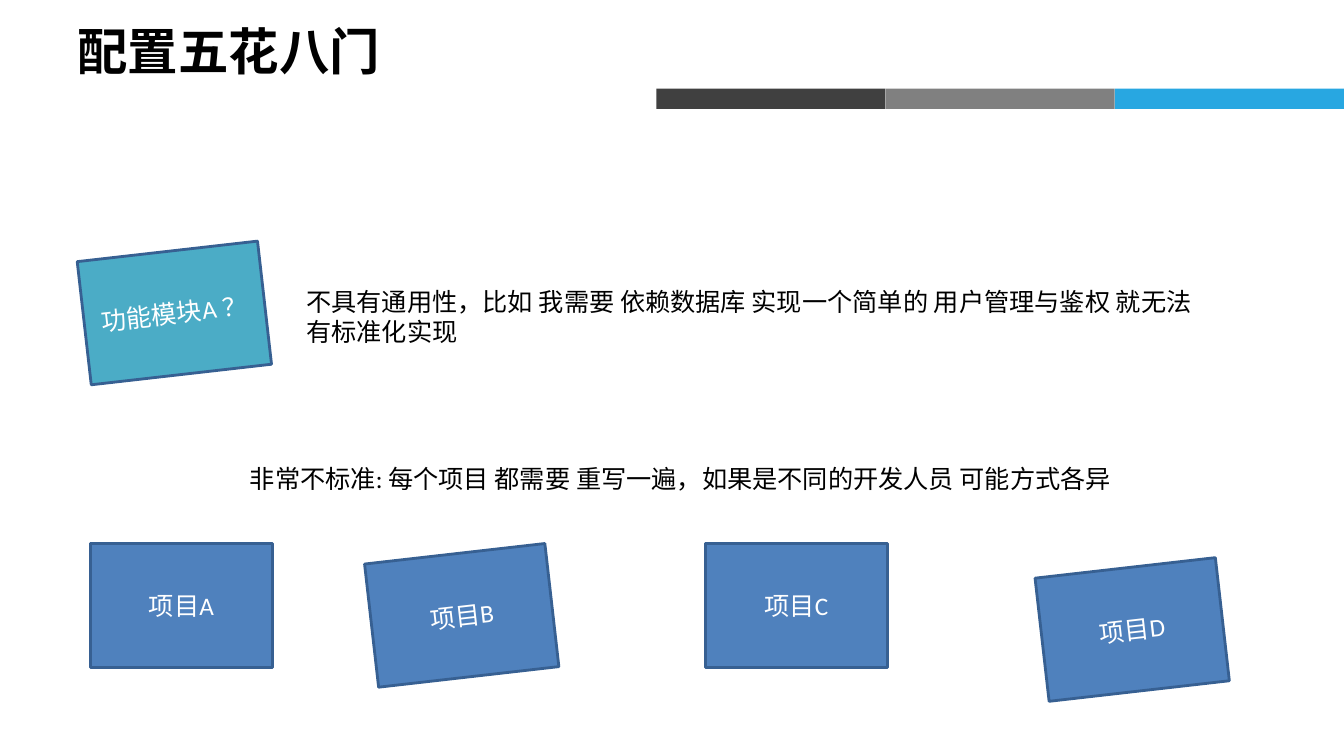
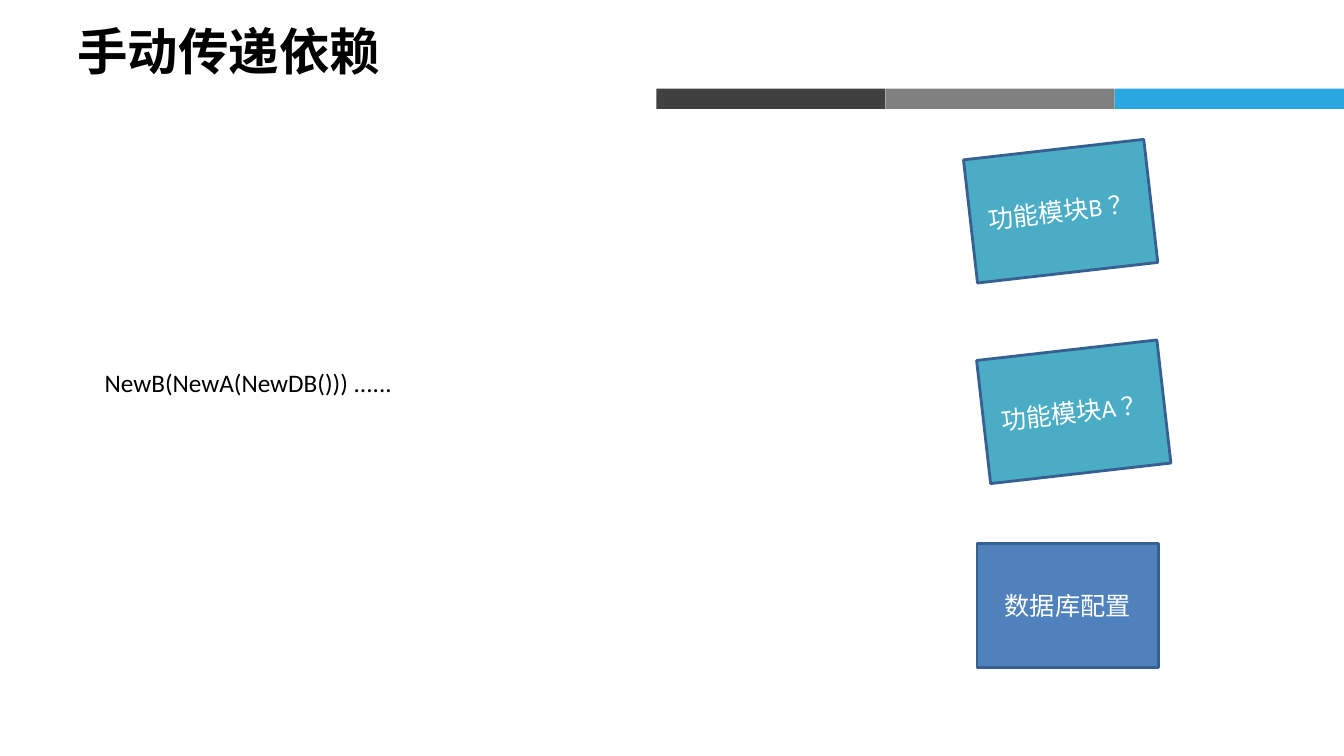
from dataclasses import dataclass

from lxml import etree
from pptx import Presentation
from pptx.dml.color import RGBColor
from pptx.enum import shapes, text
from pptx.oxml import ns
from pptx.util import Inches, Pt


@dataclass(frozen=True)
class Theme:
    band: tuple = ("404040", "808080", "28A7E1")
    project: str = "4F81BD"
    module: str = "4BACC6"
    outline: str = "376092"
    ink: str = "000000"
    light: str = "FFFFFF"
    latin: str = "Calibri"
    cjk: str = "Noto Sans CJK SC"
    title_size: int = 36
    body_size: int = 18
    tilt: float = 353.5


T = Theme()
WIDTH, HEIGHT = 13.33, 7.5
CARD_W, CARD_H = 1.8, 1.23
BAND_LEFT, BAND_TOP, BAND_H = 6.51, 0.88, 0.2
TEXT_H = 0.64

SLIDES = [
    {
        "title": "配置五花八门",
        "cards": [
            ("项目A", 0.9, 5.39, T.project, 0),
            ("项目B", 3.68, 5.49, T.project, T.tilt),
            ("项目C", 7, 5.39, T.project, 0),
            ("项目D", 10.33, 5.63, T.project, T.tilt),
            ("功能模块A ？", 0.83, 2.49, T.module, T.tilt),
        ],
        "notes": [
            ("非常不标准: 每个项目 都需要 重写一遍，如果是不同的开发人员 可能方式各异", 2.38, 4.55, 9.03),
            ("不具有通用性，比如 我需要 依赖数据库 实现一个简单的 用户管理与鉴权 就无法有标准化实现", 2.94, 2.79, 9.03),
        ],
    },
    {
        "title": "手动传递依赖",
        "cards": [
            ("数据库配置", 9.69, 5.39, T.project, 0),
            ("功能模块A ？", 9.75, 3.47, T.module, T.tilt),
            ("功能模块B ？", 9.62, 1.48, T.module, T.tilt),
        ],
        "notes": [("NewB(NewA(NewDB())) ......", 0.94, 3.59, 5.73)],
    },
]


def write(sp, words, color, size=T.body_size, latin=T.latin, bold=False,
          anchor=text.MSO_ANCHOR.MIDDLE, align=text.PP_ALIGN.LEFT):
    tf = sp.text_frame
    tf.word_wrap = True
    tf.vertical_anchor = anchor
    p = tf.paragraphs[0]
    p.alignment = align
    r = p.add_run()
    r.text = words
    r.font.size, r.font.bold, r.font.name = Pt(size), bold, latin
    r.font.color.rgb = RGBColor.from_string(color)
    etree.SubElement(r.font._element, ns.qn("a:ea"), typeface=T.cjk)


def add_rect(s, left, top, width, height, fill):
    sp = s.shapes.add_shape(shapes.MSO_SHAPE.RECTANGLE, Inches(left), Inches(top),
                            Inches(width), Inches(height))
    sp.shadow.inherit = False
    sp.fill.solid()
    sp.fill.fore_color.rgb = RGBColor.from_string(fill)
    sp.line.fill.background()
    return sp


def add_text(s, words, left, top, width, **style):
    sp = s.shapes.add_textbox(Inches(left), Inches(top), Inches(width), Inches(TEXT_H))
    write(sp, words, T.ink, **style)


def add_card(s, words, left, top, fill, rotation):
    sp = add_rect(s, left, top, CARD_W, CARD_H, fill)
    sp.line.color.rgb = RGBColor.from_string(T.outline)
    sp.line.width = Pt(2)
    sp.rotation = rotation
    write(sp, words, T.light, align=text.PP_ALIGN.CENTER)


def add_frame(s, title):
    part = (WIDTH - BAND_LEFT) / len(T.band)
    for i, color in enumerate(T.band):
        add_rect(s, BAND_LEFT + i * part, BAND_TOP, part, BAND_H, color)
    add_text(s, title, 0.67, 0.18, 9.82, size=T.title_size, latin=T.cjk, bold=True)


def main():
    prs = Presentation()
    prs.slide_width, prs.slide_height = Inches(WIDTH), Inches(HEIGHT)
    for content in SLIDES:
        s = prs.slides.add_slide(prs.slide_layouts[6])
        add_frame(s, content["title"])
        for card in content["cards"]:
            add_card(s, *card)
        for note in content["notes"]:
            add_text(s, *note, anchor=text.MSO_ANCHOR.TOP)
    prs.save("out.pptx")


if __name__ == "__main__":
    main()
